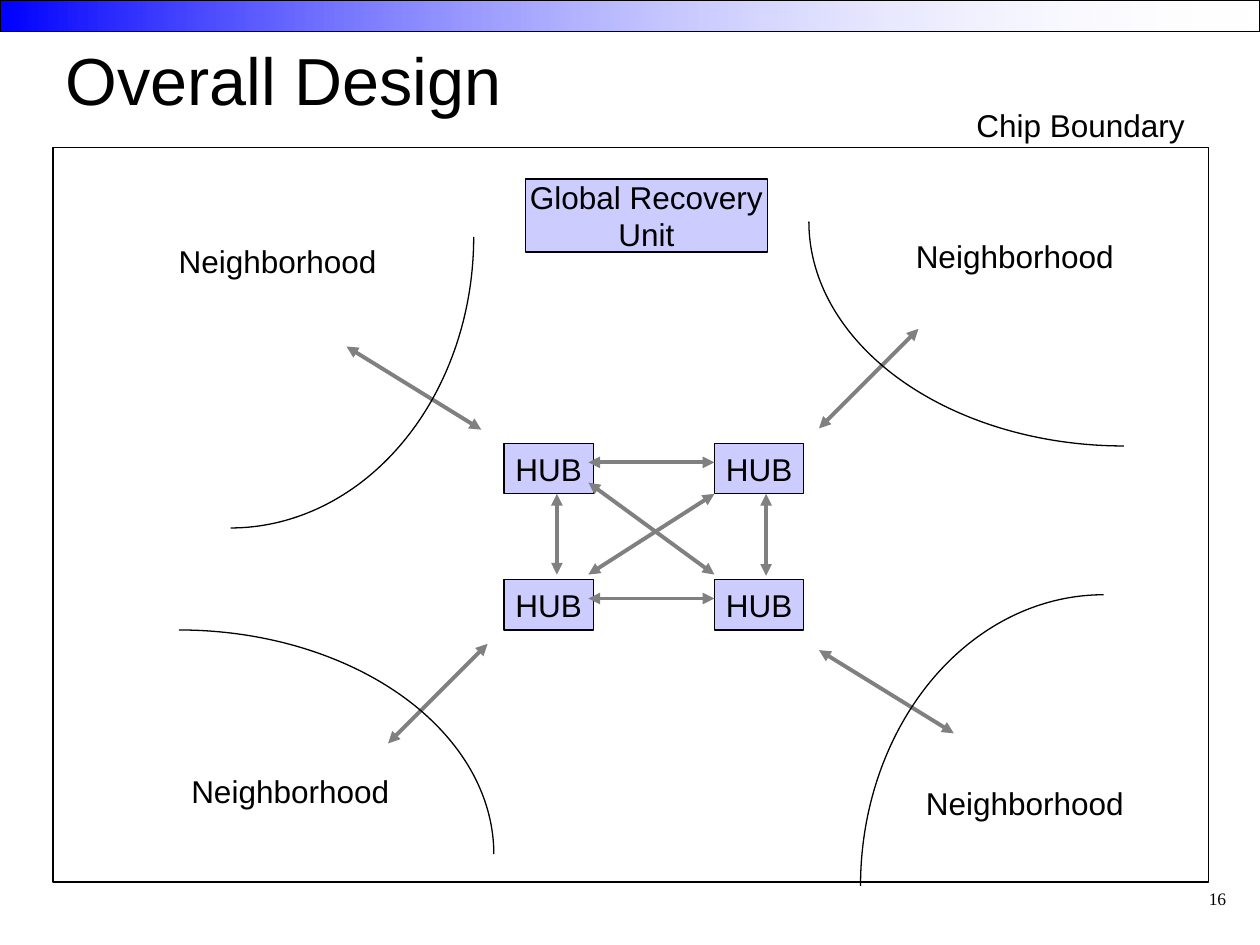
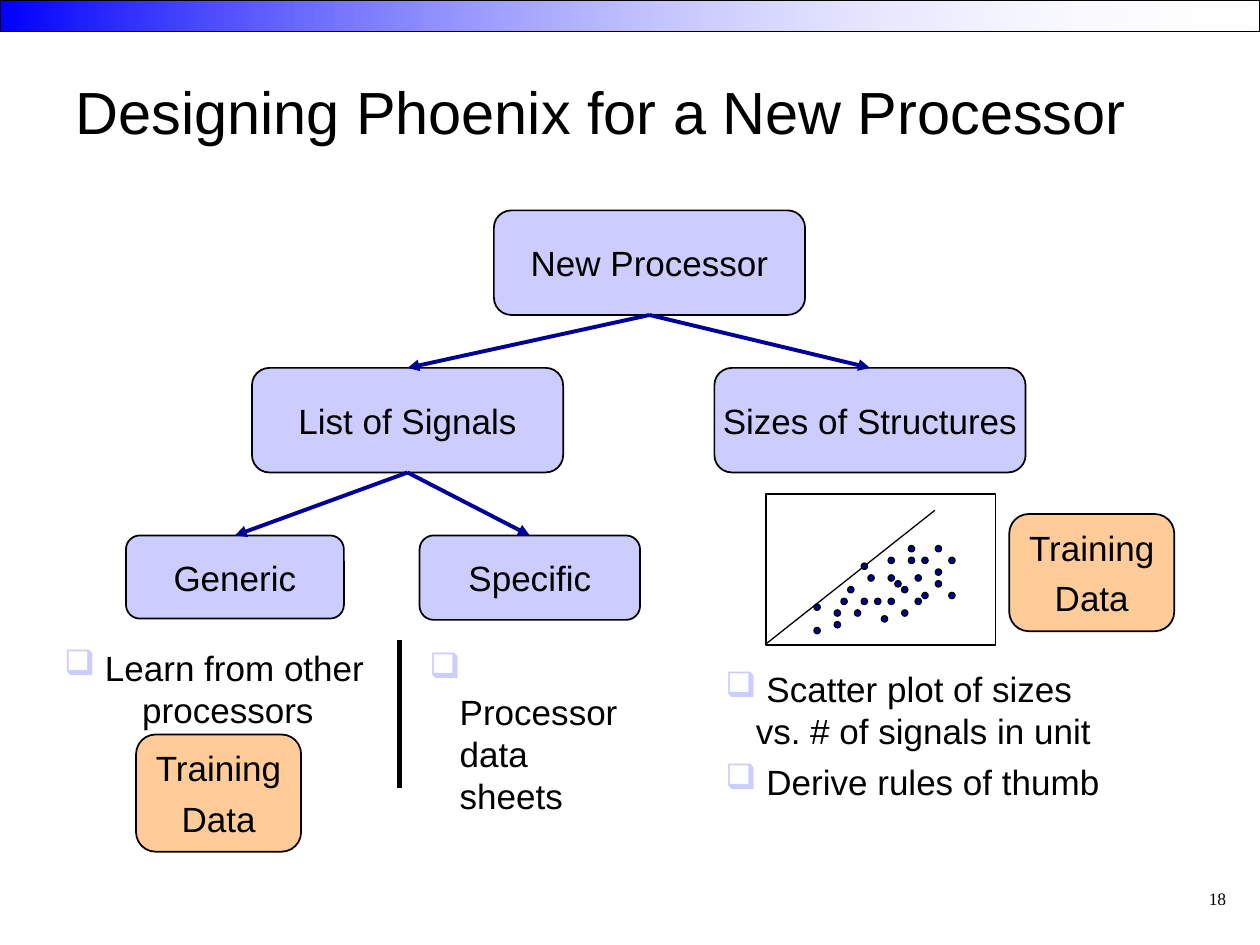
from lxml.etree import SubElement
from pptx import Presentation
from pptx.dml.color import RGBColor
from pptx.enum.shapes import MSO_CONNECTOR, MSO_SHAPE as SHAPE
from pptx.enum.text import MSO_ANCHOR, MSO_AUTO_SIZE, PP_ALIGN as ALIGN
from pptx.oxml.ns import qn
from pptx.util import Inches, Pt

rgb = RGBColor.from_string
BLACK, WHITE, BLUE, NAVY = "000000", "FFFFFF", "0000FF", "000099"
LILAC, PEACH, GREY = "CCCCFF", "FFCC99", "808080"


def box(shapes, kind, at, fill=None, width=0.75, lines=(), size=18,
        align=ALIGN.CENTER, gap=0, font="Arial"):
    """Add a preset shape, or a plain text box when kind is None."""
    place = [Inches(v) for v in at]
    if kind is None:
        sp = shapes.add_textbox(*place)
    else:
        sp = shapes.add_shape(kind, *place)
        sp.shadow.inherit = False
        sp.line.color.rgb = rgb(BLACK)
        sp.line.width = Pt(width)
        if fill:
            sp.fill.solid()
            sp.fill.fore_color.rgb = rgb(fill)
        else:
            sp.fill.background()
    tf = sp.text_frame
    tf.word_wrap = kind is None
    tf.vertical_anchor = MSO_ANCHOR.TOP if kind is None else MSO_ANCHOR.MIDDLE
    if align == ALIGN.LEFT:
        tf.margin_right = 0
    for i, line in enumerate(lines):
        p = tf.add_paragraph() if i else tf.paragraphs[0]
        p.alignment = align
        if i and gap:
            p.space_before = Pt(gap)
        for j, part in enumerate(line.split("\n")):
            if j:
                p.add_line_break()
            r = p.add_run()
            r.text = part
            r.font.name, r.font.size = font, Pt(size)
            r.font.color.rgb = rgb(BLACK)
    return sp


def connect(shapes, start, end, color, width, arrows=()):
    """Add a straight line; arrows names the ends that get a triangle."""
    c = shapes.add_connector(MSO_CONNECTOR.STRAIGHT,
                             *[Inches(v) for v in (*start, *end)])
    c.line.color.rgb = rgb(color)
    c.line.width = Pt(width)
    for tag in arrows:
        SubElement(c.line._get_or_add_ln(), qn(f"a:{tag}"), type="triangle")
    SubElement(c.element.spPr, qn("a:effectLst"))
    return c


prs = Presentation()
prs.slide_width, prs.slide_height = Inches(10), Inches(7.5)
layout = prs.slide_layouts[5]

# Titles and page numbers
slides = []
for title, at, size, number in [
    ("Overall Design", (0.42, 0, 9, 1.25), 38, "16"),
    ("Designing Phoenix for a New Processor", (0.5, 0.25, 9, 1.25), 34, "18"),
]:
    s = prs.slides.add_slide(layout)
    sp = s.shapes.title
    sp.left, sp.top, sp.width, sp.height = [Inches(v) for v in at]
    tf = sp.text_frame
    tf.auto_size = MSO_AUTO_SIZE.NONE
    tf.vertical_anchor = MSO_ANCHOR.MIDDLE
    p = tf.paragraphs[0]
    p.alignment = ALIGN.LEFT
    r = p.add_run()
    r.text = title
    r.font.name, r.font.size = "Arial", Pt(size)
    r.font.color.rgb = rgb(BLACK)
    box(s.shapes, None, (7.5, 7, 2.33, 0.5), lines=[number], size=10,
        align=ALIGN.RIGHT, font="Times New Roman")
    slides.append(s)
design, phoenix = [s.shapes for s in slides]

# Gradient band, moved to the master so both slides share it
band = box(design, SHAPE.RECTANGLE, (0, 0, 10, 0.25), width=1)
band.fill.gradient()
band.fill.gradient_angle = 0
for stop, color in zip(band.fill.gradient_stops, (BLUE, WHITE)):
    stop.color.rgb = rgb(color)
white_stop = band.element.findall(".//" + qn("a:gs"))[-1]
SubElement(white_stop[0], qn("a:alpha"), val="2000")
prs.slide_master.shapes.element.insert(2, band.element)

# Slide 1: hubs and their links
for x in (4, 5.67):
    for y in (3.52, 4.6):
        box(design, SHAPE.RECTANGLE, (x, y, 0.71, 0.4), LILAC, lines=["HUB"])
for start, end in [
    ((4.67, 3.67), (5.67, 3.67)), ((4.67, 4.75), (5.67, 4.75)),
    ((4.42, 3.92), (4.42, 4.56)), ((6.08, 3.92), (6.08, 4.57)),
    ((4.67, 3.83), (5.67, 4.56)), ((5.67, 3.92), (4.67, 4.56)),
    ((2.75, 2.75), (3.82, 3.41)), ((3.08, 5.9), (3.87, 5.11)),
    ((6.5, 3.4), (7.29, 2.61)), ((6.5, 5.16), (7.57, 5.82)),
]:
    connect(design, start, end, GREY, 2.25, ("headEnd", "tailEnd"))

# Neighborhoods: a quarter ellipse round each corner, and its label
for cx, cy, rx, ry, angle, label in [
    (1.42, 6.78, 2.5, 1.78, 270, (1.42, 6.08)),
    (1.83, 1.88, 1.93, 2.31, 0, (1.32, 1.87)),
    (8.92, 1.76, 2.5, 1.78, 90, (7.17, 1.83)),
    (8.76, 7.03, 1.93, 2.31, 180, (7.25, 6.17)),
]:
    arc = box(design, SHAPE.ARC, (cx - rx, cy - ry, 2 * rx, 2 * ry))
    arc.adjustments[0] = angle * 0.6
    arc.adjustments[1] = (angle + 90) % 360 * 0.6
    box(design, None, (*label, 1.77, 0.4), lines=["Neighborhood"],
        align=ALIGN.LEFT)

# Recovery unit and chip boundary
box(design, SHAPE.RECTANGLE, (4.17, 1.42, 1.92, 0.58), LILAC,
    lines=["Global Recovery", "Unit"])
box(design, SHAPE.RECTANGLE, (0.42, 1.17, 9.17, 5.83))
box(design, None, (7.65, 0.79, 1.85, 0.4), lines=["Chip Boundary"],
    align=ALIGN.LEFT)

# Slide 2: tree of processor parts
nodes = {}
for name, at in [
    ("New Processor", (3.92, 1.67, 2.47, 0.83)),
    ("Sizes of Structures", (5.67, 2.92, 2.47, 0.83)),
    ("List of Signals", (2, 2.92, 2.47, 0.83)),
    ("Generic", (1, 4.25, 1.73, 0.66)),
    ("Specific", (3.33, 4.25, 1.75, 0.67)),
]:
    nodes[name] = box(phoenix, SHAPE.ROUNDED_RECTANGLE, at, LILAC, 1, [name], 20)
for parent, child in [
    ("New Processor", "List of Signals"),
    ("New Processor", "Sizes of Structures"),
    ("List of Signals", "Generic"),
    ("List of Signals", "Specific"),
]:
    c = connect(phoenix, (0, 0), (1, 1), NAVY, 2.25, ["tailEnd"])
    c.begin_connect(nodes[parent], 2)
    c.end_connect(nodes[child], 0)
for x, y in [(8.01, 4.08), (1.08, 5.83)]:
    box(phoenix, SHAPE.ROUNDED_RECTANGLE, (x, y, 1.31, 0.93), PEACH, 1,
        ["Training", "Data"], 20, gap=5)

# Scatter sketch, dots as (column, row) on a fine grid
plot = phoenix.add_group_shape().shapes
box(plot, SHAPE.RECTANGLE, (6.08, 3.92, 1.82, 1.2), WHITE)
connect(plot, (6.08, 5.11), (7.42, 4.05), BLACK, 0.75)
for col, row in [
    (7, 9), (9, 9), (4, 9), (11, 2), (7, 3), (0, 10), (8, 5), (3, 13),
    (10, 12), (12, 6), (14, 2), (15, 5), (18, 0), (20, 2), (5, 7), (0, 14),
    (11, 5), (6, 11), (13, 7), (15, 9), (11, 9), (13, 11), (3, 11), (14, 0),
    (16, 2), (18, 4), (18, 6), (20, 8), (16, 8),
]:
    x, y = 6.46 + col * 1.07 / 20, 4.33 + row * 0.65 / 14
    box(plot, SHAPE.OVAL, (x, y, 0.05, 0.05), NAVY)

# Notes under the tree
connect(phoenix, (3.17, 5.08), (3.17, 6.25), BLACK, 3)
for at, lines, gap in [
    ((0.41, 5.08, 2.68, 0.77), [" Learn from other", "processors"], 0),
    ((3.31, 5.1, 1.65, 1.1), [" Processor\ndata sheets"], 0),
    ((5.66, 5.25, 3.27, 1.17), [" Scatter plot of sizes\nvs. # of signals in unit",
                                " Derive rules of thumb"], 5),
]:
    sp = box(phoenix, None, at, lines=lines, size=20, align=ALIGN.LEFT, gap=gap)
    for p in sp.text_frame.paragraphs:
        pPr = p._p.get_or_add_pPr()
        if p.text.startswith(" "):
            pPr.set("marL", str(Inches(0.24)))
            pPr.set("indent", str(-Inches(0.24)))
            SubElement(SubElement(pPr, qn("a:buClr")), qn("a:srgbClr"), val=LILAC)
            SubElement(pPr, qn("a:buChar"), char="❑")
        else:
            pPr.set("marL", str(Inches(0.62)))

prs.save("out.pptx")
